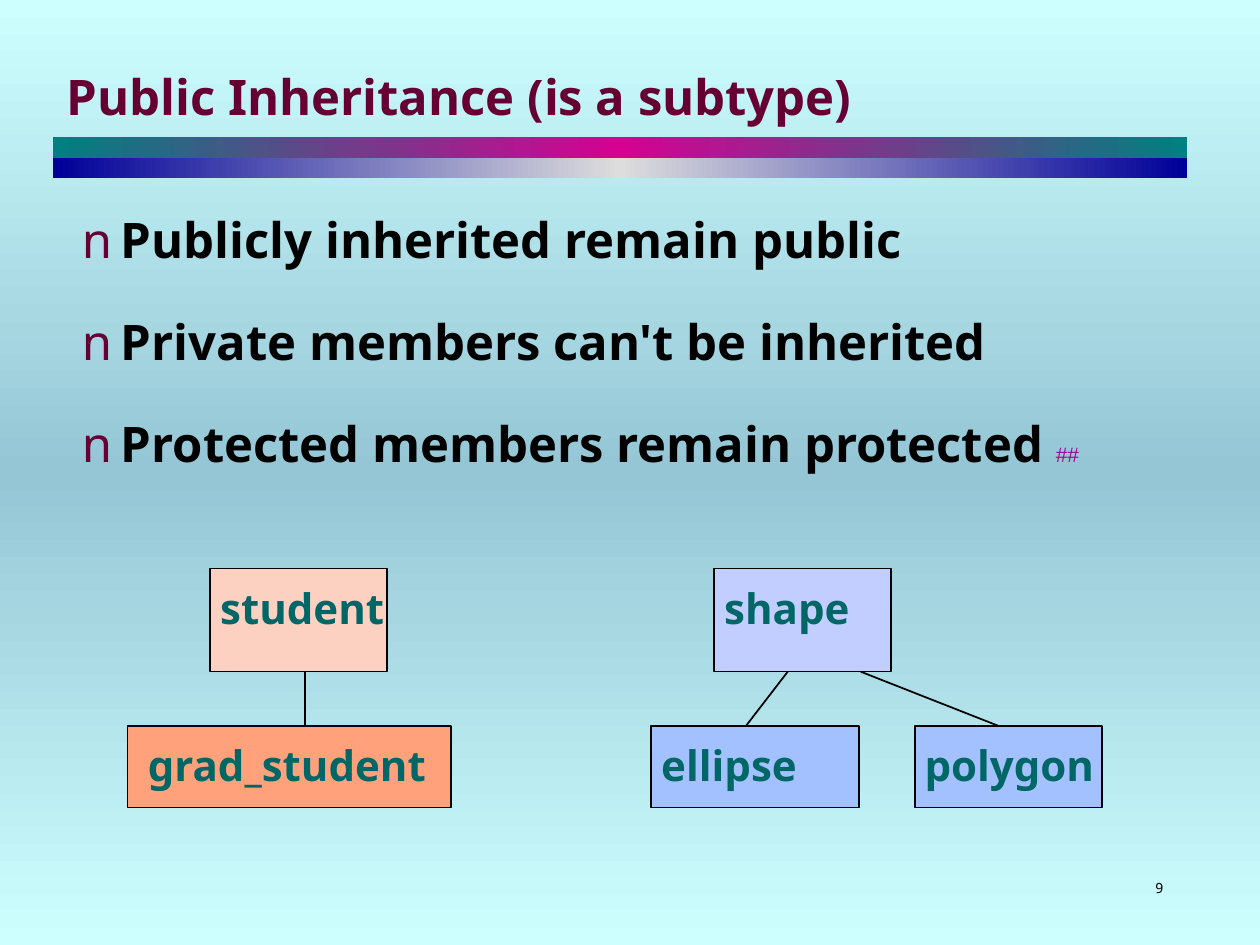
import copy
from dataclasses import dataclass

import pptx
import pptx.dml.color
import pptx.enum.shapes
import pptx.enum.text
import pptx.oxml.ns
import pptx.oxml.xmlchemy
import pptx.util
from lxml import etree

Cm, Pt = pptx.util.Cm, pptx.util.Pt
rgb = pptx.dml.color.RGBColor.from_string
qn = pptx.oxml.ns.qn


@dataclass(frozen=True)
class Theme:
    font: str = "Noto Sans"
    mark_font: str = "Arial"
    heading_size: int = 28
    class_size: int = 24
    mark_size: int = 12
    number_size: int = 8
    accent: str = "660033"
    ink: str = "000000"
    mark: str = "A60497"
    class_name: str = "006666"
    student: str = "FCD1C1"
    grad_student: str = "FFA27C"
    shape: str = "C1CEFF"
    shape_child: str = "A2C1FE"
    sky: tuple = ("CEFFFF", "95C6D5", "CEFFFF")
    upper_bar: tuple = ("008080", "D60093", "008080")
    lower_bar: tuple = ("000099", "DDDDDD", "000099")


THEME = Theme()


def style(font, size, color, bold=False, name=THEME.font):
    font.name, font.size, font.bold = name, Pt(size), bold
    font.color.rgb = rgb(color)


def fill_gradient(fill, element, colors, angle):
    """Three evenly spaced stops; the middle one is added to the default two."""
    fill.gradient()
    fill.gradient_angle = angle
    stop_list = next(element.iter(qn("a:gsLst")))
    stop_list.insert(1, copy.deepcopy(stop_list[0]))
    for stop, color, position in zip(fill.gradient_stops, colors, (0, 0.5, 1)):
        stop.color.rgb = rgb(color)
        stop.position = position


def add_rectangle(slide, left, top, width, height):
    rectangle = slide.shapes.add_shape(
        pptx.enum.shapes.MSO_SHAPE.RECTANGLE, Cm(left), Cm(top), Cm(width), Cm(height))
    rectangle.shadow.inherit = False
    return rectangle


def add_title(slide, left, top, width, height):
    title = slide.shapes.title
    title.left, title.top, title.width, title.height = map(Cm, (left, top, width, height))
    title.text_frame.vertical_anchor = pptx.enum.text.MSO_ANCHOR.MIDDLE
    heading = title.text_frame.paragraphs[0]
    heading.text = "Public Inheritance (is a subtype)"
    heading.alignment = pptx.enum.text.PP_ALIGN.LEFT
    heading.line_spacing = 0.9
    style(heading.font, THEME.heading_size, THEME.accent, True)


def add_title_bars(slide, left, top, width, bar_height):
    for row, colors in enumerate((THEME.upper_bar, THEME.lower_bar)):
        bar = add_rectangle(slide, left, top + row * bar_height, width, bar_height)
        fill_gradient(bar.fill, bar._element, colors, 0)
        bar.line.fill.background()


def add_bullet(paragraph):
    properties = paragraph._p.get_or_add_pPr()
    properties.set("marL", str(Cm(1.12)))
    properties.set("indent", str(-Cm(0.79)))
    bullet_color = etree.SubElement(properties, qn("a:buClr"))
    etree.SubElement(bullet_color, qn("a:srgbClr"), val=THEME.accent)
    etree.SubElement(properties, qn("a:buFont"), typeface=THEME.font)
    etree.SubElement(properties, qn("a:buChar"), char="n")


def add_rules(slide, left, top, width, height):
    rules = slide.shapes.add_textbox(Cm(left), Cm(top), Cm(width), Cm(height)).text_frame
    rules.word_wrap = True
    rules.text = "\n".join((
        "Publicly inherited remain public",
        "Private members can't be inherited",
        "Protected members remain protected "))
    for index, rule in enumerate(rules.paragraphs):
        add_bullet(rule)
        rule.line_spacing = 0.9
        if index:
            rule.space_before = Pt(THEME.heading_size)
        style(rule.font, THEME.heading_size, THEME.ink, True)
    end_mark = rules.paragraphs[-1].add_run()
    end_mark.text = "##"
    style(end_mark.font, THEME.mark_size, THEME.mark, name=THEME.mark_font)


def add_class_box(slide, name, color, left, top, width, height, inset=0.2):
    box = add_rectangle(slide, left, top, width, height)
    box.fill.solid()
    box.fill.fore_color.rgb = rgb(color)
    box.line.color.rgb = rgb(THEME.ink)
    box.line.width = Pt(1)
    frame = box.text_frame
    frame.word_wrap = True
    frame.vertical_anchor = pptx.enum.text.MSO_ANCHOR.TOP
    frame.margin_left, frame.margin_top = Cm(inset), Cm(0.28)
    frame.margin_right = frame.margin_bottom = 0
    label = frame.paragraphs[0]
    label.text = name
    label.alignment = pptx.enum.text.PP_ALIGN.LEFT
    style(label.font, THEME.class_size, THEME.class_name, True)


def add_class_family(slide, left, top, parent, children, links):
    """Parent and children are (name, colour, offset, width, inset);
    links are (offset at parent, offset at child)."""
    parent_height, child_height, child_drop = 2.08, 1.65, 3.17
    rows = [(parent, 0, parent_height)]
    rows += [(child, child_drop, child_height) for child in children]
    for (name, color, offset, width, inset), drop, height in rows:
        add_class_box(slide, name, color, left + offset, top + drop, width, height, inset)
    for start, end in links:
        link = slide.shapes.add_connector(
            pptx.enum.shapes.MSO_CONNECTOR.STRAIGHT,
            Cm(left + start), Cm(top + parent_height), Cm(left + end), Cm(top + child_drop))
        link.line.color.rgb = rgb(THEME.ink)
        link.line.width = Pt(1)
        etree.SubElement(link._element.spPr, qn("a:effectLst"))


def add_page_number(slide, left, top, width, height):
    frame = slide.shapes.add_textbox(Cm(left), Cm(top), Cm(width), Cm(height)).text_frame
    number = frame.paragraphs[0]
    number.text = "9"
    style(number.font, THEME.number_size, THEME.ink)


def main():
    deck = pptx.Presentation()
    deck.slide_width, deck.slide_height = Cm(25.4), Cm(19.05)
    slide = deck.slides.add_slide(deck.slide_layouts.get_by_name("Title Only"))
    fill_gradient(slide.background.fill, slide._element, THEME.sky, 270)

    # Heading
    add_title(slide, 1.09, 1.35, 23.04, 1.32)
    add_title_bars(slide, 1.07, 2.76, 22.86, 0.42)

    # Access rules
    add_rules(slide, 1.07, 4.24, 22.86, 7)

    # Inheritance diagrams
    add_class_family(
        slide, 2.57, 11.46,
        ("student", THEME.student, 1.67, 3.56, 0.2),
        [("grad_student", THEME.grad_student, 0, 6.53, 0.41)],
        [(3.58, 3.58)])
    add_class_family(
        slide, 13.13, 11.46,
        ("shape", THEME.shape, 1.27, 3.56, 0.2),
        [("ellipse", THEME.shape_child, 0, 4.19, 0.2),
         ("polygon", THEME.shape_child, 5.31, 3.78, 0.2)],
        [(2.75, 1.91), (4.22, 6.99)])

    # Footer
    add_page_number(slide, 23.04, 17.6, 0.89, 0.58)
    deck.save("out.pptx")


if __name__ == "__main__":
    main()
